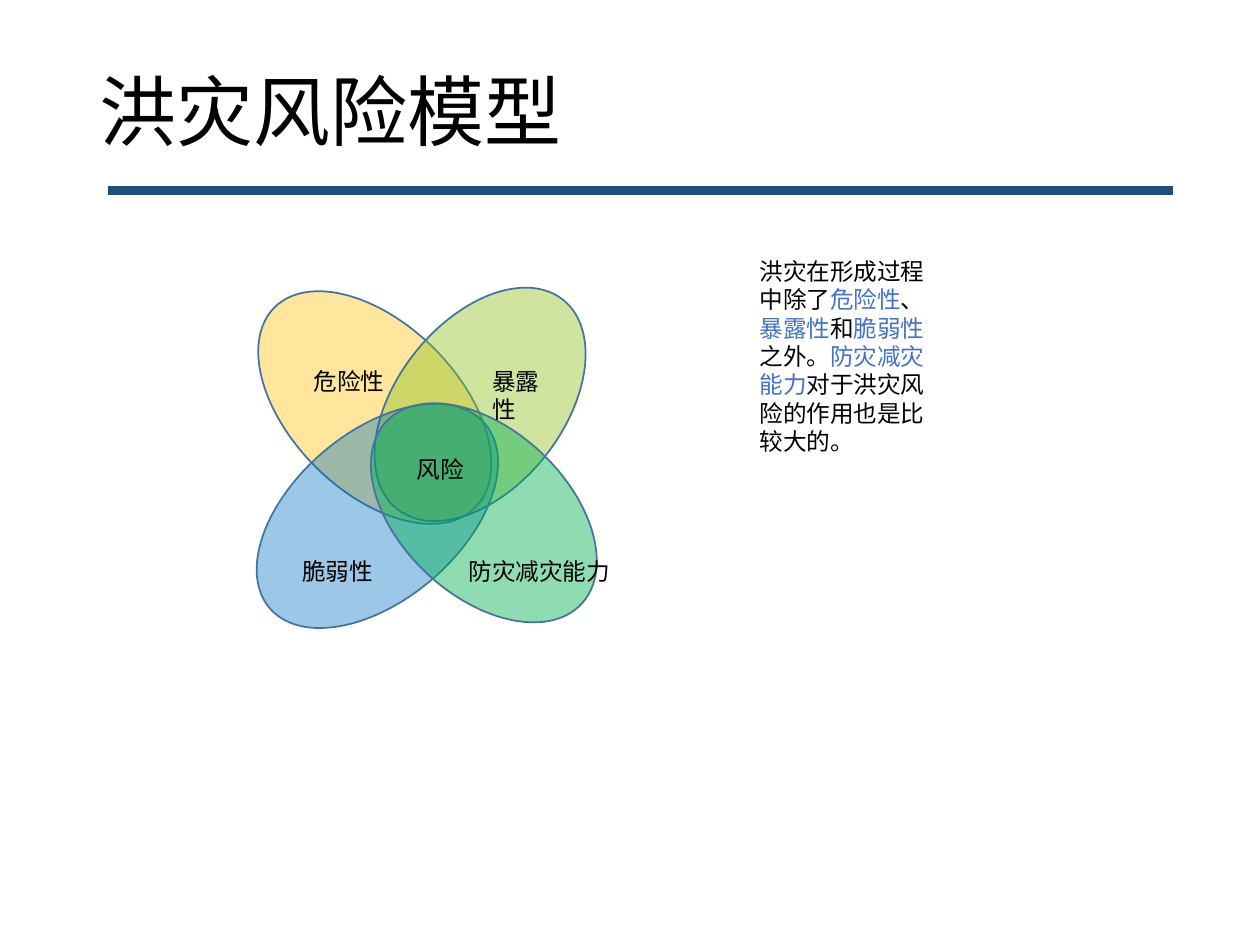
from lxml.etree import SubElement
from pptx import Presentation
from pptx.dml.color import RGBColor
from pptx.enum.shapes import MSO_CONNECTOR, MSO_SHAPE
from pptx.enum.text import MSO_ANCHOR, MSO_AUTO_SIZE, PP_ALIGN
from pptx.oxml.ns import qn
from pptx.util import Inches, Pt

BLACK = RGBColor(0x00, 0x00, 0x00)
ACCENT = RGBColor(0x44, 0x72, 0xC4)
RULE = RGBColor(0x1F, 0x4E, 0x79)
OUTLINE = RGBColor(0x43, 0x73, 0x9E)
AMBER = RGBColor(0xFF, 0xC0, 0x00)
LIME = RGBColor(0x90, 0xC2, 0x26)
BLUE = RGBColor(0x00, 0x70, 0xC0)
GREEN = RGBColor(0x00, 0xB0, 0x50)

COLUMNS, ROWS = 100, 75


class SlideBuilder:
    """Places elements on a grid of COLUMNS by ROWS cells."""

    font_name = "Calibri"
    title_size = Pt(44)
    text_size = Pt(13.5)

    def __init__(self, presentation):
        self.slide = presentation.slides.add_slide(presentation.slide_layouts[5])
        self.column = presentation.slide_width / COLUMNS
        self.row = presentation.slide_height / ROWS

    def grid(self, left, top, width, height):
        return (round(left * self.column), round(top * self.row),
                round(width * self.column), round(height * self.row))

    def add_run(self, paragraph, text, size, color):
        run = paragraph.add_run()
        run.text = text
        run.font.name = self.font_name
        run.font.size = size
        run.font.color.rgb = color

    def title(self, text, *cells):
        shape = self.slide.shapes.title
        shape.left, shape.top, shape.width, shape.height = self.grid(*cells)
        frame = shape.text_frame
        frame.auto_size = MSO_AUTO_SIZE.NONE
        frame.vertical_anchor = MSO_ANCHOR.MIDDLE
        paragraph = frame.paragraphs[0]
        paragraph.alignment = PP_ALIGN.LEFT
        paragraph.line_spacing = 0.9
        self.add_run(paragraph, text, self.title_size, BLACK)

    def rule(self, left, right, row):
        start, y, end, _ = self.grid(left, row, right, 0)
        line = self.slide.shapes.add_connector(MSO_CONNECTOR.STRAIGHT, start, y, end, y)
        line.line.color.rgb = RULE
        line.line.width = Pt(5)
        SubElement(line._element.spPr, qn("a:effectLst"))

    def petal(self, cells, rotation, color, opacity):
        shape = self.slide.shapes.add_shape(MSO_SHAPE.OVAL, *self.grid(*cells))
        shape.rotation = rotation
        shape.shadow.inherit = False
        shape.fill.solid()
        shape.fill.fore_color.rgb = color
        color_element = shape._element.spPr.find(qn("a:solidFill"))[0]
        SubElement(color_element, qn("a:alpha"), val=str(opacity * 1000))
        shape.line.color.rgb = OUTLINE
        shape.line.width = Pt(1)

    def text(self, cells, *runs):
        """Adds a wrapping text box from (text, color) runs."""
        frame = self.slide.shapes.add_textbox(*self.grid(*cells)).text_frame
        frame.word_wrap = True
        frame.auto_size = MSO_AUTO_SIZE.SHAPE_TO_FIT_TEXT
        for text, color in runs:
            self.add_run(frame.paragraphs[0], text, self.text_size, color)


def main():
    presentation = Presentation()
    presentation.slide_width, presentation.slide_height = Inches(10), Inches(7.5)
    builder = SlideBuilder(presentation)

    builder.rule(8.6, 93.1, 15.1)
    builder.title("洪灾风险模型", 6.9, 4, 86.2, 10.4)

    for cells, rotation, color, opacity in (
        ((23.1, 21.1, 13.3, 22.5), 314.9, AMBER, 39),
        ((31.5, 21.5, 13.2, 21.2), 38.4, LIME, 44),
        ((23.3, 29.7, 13.3, 22.5), 229.4, BLUE, 39),
        ((31.8, 30.1, 13.2, 21.2), 313, GREEN, 44),
    ):
        builder.petal(cells, rotation, color, opacity)

    upper, lower, label_height = 28.6, 43.7, 3.3
    for label, left, top, width, height in (
        ("暴露性", 38.1, upper, 7.5, 5.6),
        ("危险性", 23.9, upper, 8.1, label_height),
        ("脆弱性", 23, lower, 8, label_height),
        ("防灾减灾能力", 36.2, lower, 13.9, label_height),
        ("风险", 32.1, 35.6, 6, label_height),
    ):
        builder.text((left, top, width, height), (label, BLACK))

    builder.text(
        (59.3, 19.9, 16.8, 16.9),
        ("洪灾在形成过程中除了", BLACK),
        ("危险性", ACCENT),
        ("、", BLACK),
        ("暴露性", ACCENT),
        ("和", BLACK),
        ("脆弱性", ACCENT),
        ("之外。", BLACK),
        ("防灾减灾能力", ACCENT),
        ("对于洪灾风险的作用也是比较大的。", BLACK),
    )
    presentation.save("out.pptx")


if __name__ == "__main__":
    main()
